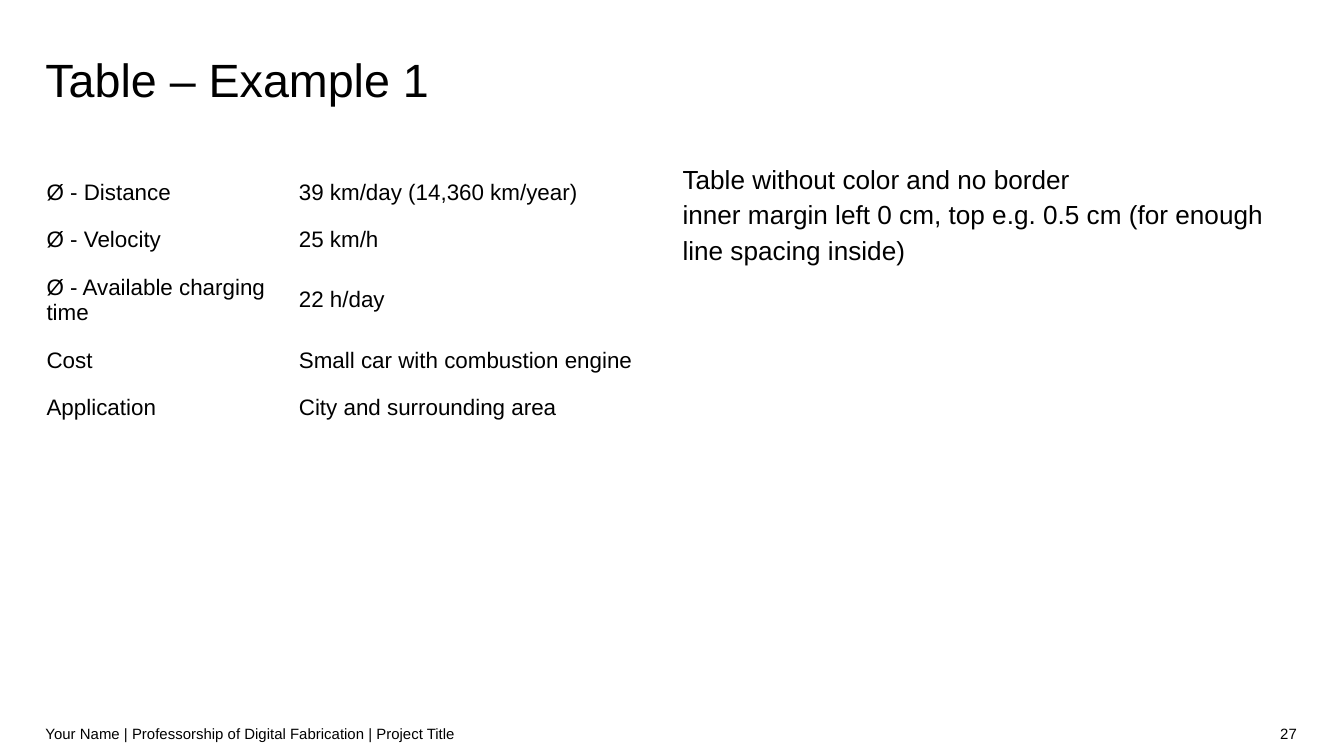
"""Build a slide with a borderless table beside a short explanation."""
from copy import deepcopy

from pptx import Presentation
from pptx.dml.color import RGBColor
from pptx.enum.text import MSO_ANCHOR as Anchor, PP_ALIGN as Align
from pptx.oxml.ns import qn
from pptx.util import Cm, Pt

BLACK = RGBColor(0x00, 0x00, 0x00)
FONT = "Arial"
PLAIN_STYLE = "{2D5ABB26-0587-4C30-8999-92F81FD0307C}"
LEFT, TABLE_TOP = 0.88, 3.0
COLUMN_WIDTHS = (4.77, 6.85)
ROW_HEIGHT = 0.89
FACTS = (
    ("Ø - Distance", "39 km/day (14,360 km/year)"),
    ("Ø - Velocity", "25 km/h"),
    ("Ø - Available charging time", "22 h/day"),
    ("Cost", "Small car with combustion engine"),
    ("Application", "City and surrounding area"),
)
EXPLANATION = (
    "Table without color and no border\n"
    "inner margin left 0 cm, top e.g. 0.5 cm (for enough line spacing inside)"
)
FOOTER = "Your Name | Professorship of Digital Fabrication | Project Title"


def write_text(frame, text, size=12, align=Align.LEFT, spacing=None):
    para = frame.paragraphs[0]
    para.text = text
    para.alignment = align
    para.line_spacing = spacing
    for span in para.runs:
        span.font.name = FONT
        span.font.size = Pt(size)
        span.font.color.rgb = BLACK
    for line_break in para._p.findall(qn("a:br")):
        line_break.append(deepcopy(para.runs[0]._r.rPr))


def set_margins(holder, top=0, bottom=0):
    holder.margin_left = holder.margin_right = 0
    holder.margin_top, holder.margin_bottom = Cm(top), Cm(bottom)


def add_text(page, text, left, top, width, height, margin=0, anchor=Anchor.TOP, **style):
    box = page.shapes.add_textbox(Cm(left), Cm(top), Cm(width), Cm(height))
    frame = box.text_frame
    frame.word_wrap = True
    frame.vertical_anchor = anchor
    set_margins(frame, margin, margin)
    write_text(frame, text, **style)


def add_facts_table(page):
    frame = page.shapes.add_table(
        len(FACTS), len(COLUMN_WIDTHS), Cm(LEFT), Cm(TABLE_TOP),
        Cm(sum(COLUMN_WIDTHS)), Cm(ROW_HEIGHT * len(FACTS)),
    )
    table = frame.table
    table.first_row = table.horz_banding = False
    table._tbl.tblPr.find(qn("a:tableStyleId")).text = PLAIN_STYLE
    for column, width in zip(table.columns, COLUMN_WIDTHS):
        column.width = Cm(width)
    for row, facts in zip(table.rows, FACTS):
        row.height = Cm(ROW_HEIGHT)
        for cell, fact in zip(row.cells, facts):
            cell.fill.background()
            cell.vertical_anchor = Anchor.MIDDLE
            set_margins(cell, top=0.38)
            write_text(cell.text_frame, fact)


def add_footer(page):
    style = dict(margin=0.13, anchor=Anchor.MIDDLE, size=8)
    add_text(page, FOOTER, 0.86, 13.49, 17.96, 0.76, **style)
    add_text(page, "27", 18.82, 13.49, 5.69, 0.76, align=Align.RIGHT, **style)


def main():
    deck = Presentation()
    deck.slide_width, deck.slide_height = Cm(25.4), Cm(14.29)
    page = deck.slides.add_slide(deck.slide_layouts[6])
    add_text(page, "Table – Example 1", 0.86, 0.89, 23.65, 1.07, size=25, spacing=Pt(32))
    add_facts_table(page)
    add_text(page, EXPLANATION, 12.9, TABLE_TOP, 11.61, 9.37, size=14, spacing=1.14)
    add_footer(page)
    deck.save("out.pptx")


if __name__ == "__main__":
    main()
